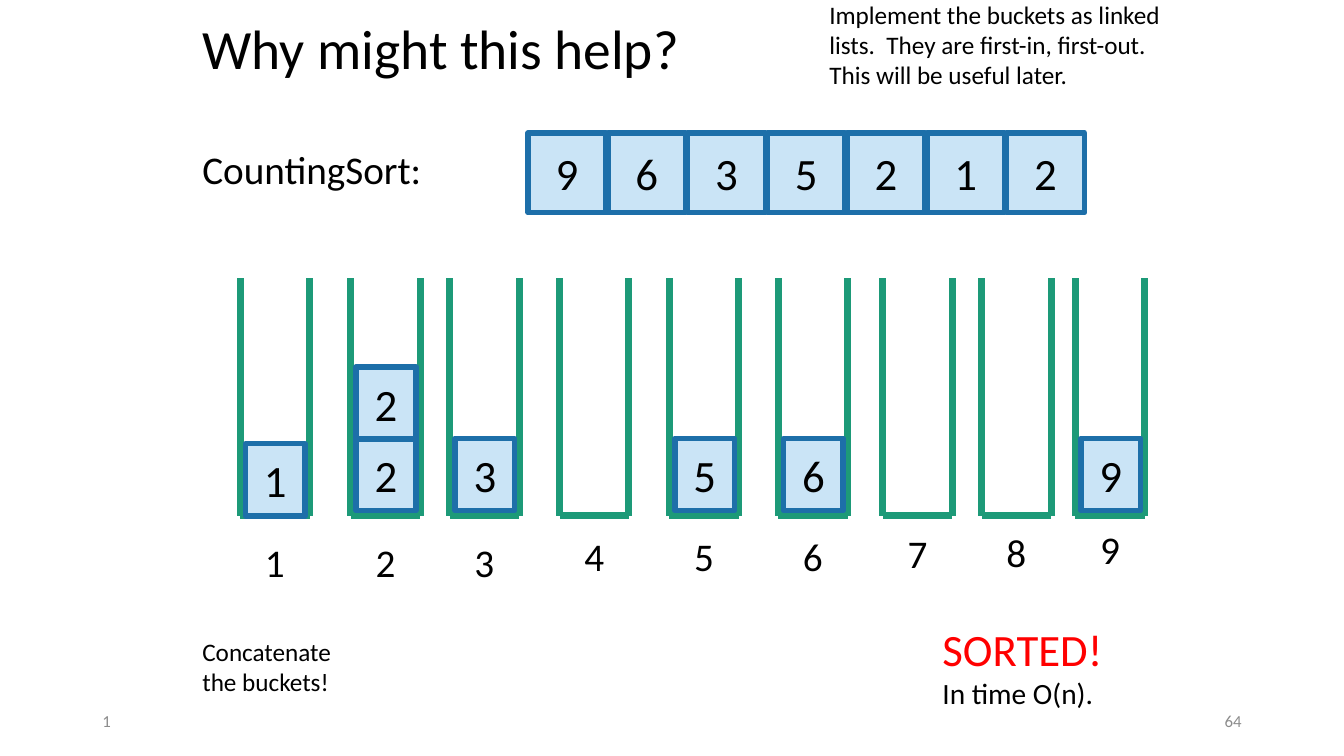
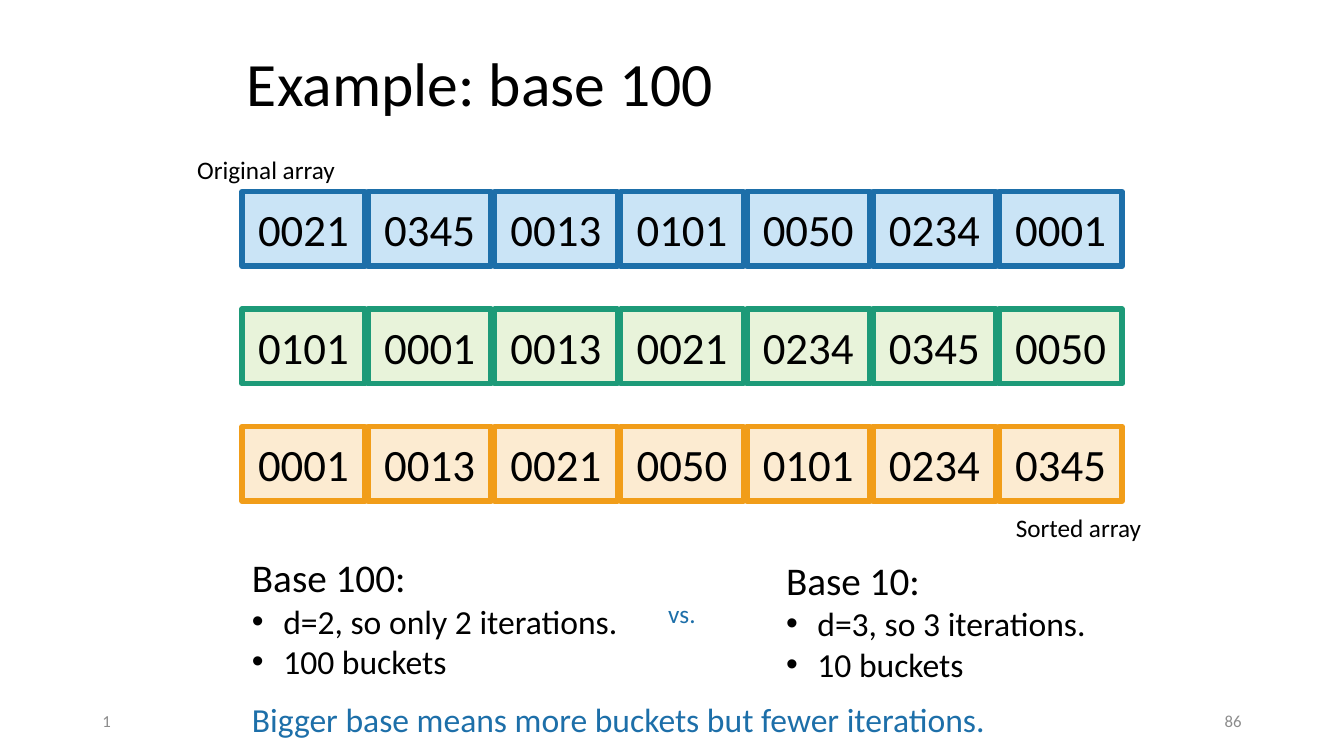
from dataclasses import dataclass

from lxml.etree import SubElement
from pptx import Presentation
from pptx.dml.color import RGBColor
from pptx.enum.shapes import MSO_CONNECTOR as Connector, MSO_SHAPE as Shape
from pptx.enum.text import MSO_ANCHOR as Anchor, MSO_AUTO_SIZE as AutoSize, PP_ALIGN as Align
from pptx.oxml.ns import qn
from pptx.slide import Slide
from pptx.text.text import TextFrame
from pptx.util import Cm, Pt

# Shared look
FONT = "Calibri"
BLACK = RGBColor(0x00, 0x00, 0x00)
RED = RGBColor(0xFF, 0x00, 0x00)
GRAY = RGBColor(0x8C, 0x8C, 0x8C)
BLUE = RGBColor(0x1D, 0x6F, 0xA9)
PALE_BLUE = RGBColor(0xCA, 0xE4, 0xF6)
GREEN = RGBColor(0x1D, 0x9A, 0x78)
PALE_GREEN = RGBColor(0xE8, 0xF3, 0xDA)
ORANGE = RGBColor(0xF1, 0x9D, 0x19)
PALE_ORANGE = RGBColor(0xFC, 0xEB, 0xD1)
TITLE_WIDTH = 21.9
TITLE_FORMAT = {"alignment": Align.LEFT, "line_spacing": 0.9}
BULLET_INDENT = Cm(0.79)

# Bucket geometry in centimetres
BUCKET_TOP, BUCKET_BOTTOM, BUCKET_WIDTH = 7.01, 13.0, 1.75
ITEM_INSET, ITEM_WIDTH, ITEM_HEIGHT, ITEM_STEP = 0.14, 1.5, 1.82, 1.8


@dataclass(frozen=True)
class Box:
    """Position and size in centimetres."""
    left: float
    top: float
    width: float
    height: float

    def lengths(self) -> tuple[Cm, Cm, Cm, Cm]:
        return Cm(self.left), Cm(self.top), Cm(self.width), Cm(self.height)


@dataclass(frozen=True)
class Line:
    """One paragraph of text."""
    text: str
    size: float
    color: RGBColor = BLACK
    bullet: bool = False


@dataclass(frozen=True)
class Palette:
    fill: RGBColor
    border: RGBColor


@dataclass(frozen=True)
class Bucket:
    left: float
    label_top: float
    items: int = 0
    item_top: float = 11.05


BLUE_CELL = Palette(PALE_BLUE, BLUE)
GREEN_CELL = Palette(PALE_GREEN, GREEN)
ORANGE_CELL = Palette(PALE_ORANGE, ORANGE)

BUCKETS = [
    Bucket(6.05, 13.44, 1, 11.18),
    Bucket(8.84, 13.44, 2),
    Bucket(11.33, 13.44, 1),
    Bucket(14.1, 13.28),
    Bucket(16.87, 13.28, 1),
    Bucket(19.61, 13.28, 1),
    Bucket(22.25, 13.21),
    Bucket(24.74, 13.18),
    Bucket(27.1, 13.11, 1),
]

ARRAYS = [
    ("0021 0345 0013 0101 0050 0234 0001", BLUE_CELL),
    ("0101 0001 0013 0021 0234 0345 0050", GREEN_CELL),
    ("0001 0013 0021 0050 0101 0234 0345", ORANGE_CELL),
]


def write_lines(frame: TextFrame, lines: list[Line], paragraph_format: dict) -> None:
    for index, line in enumerate(lines):
        paragraph = frame.add_paragraph() if index else frame.paragraphs[0]
        paragraph.text = line.text
        for name, value in paragraph_format.items():
            setattr(paragraph, name, value)
        if line.bullet:
            properties = paragraph._p.get_or_add_pPr()
            properties.set("marL", str(BULLET_INDENT))
            properties.set("indent", str(-BULLET_INDENT))
            SubElement(properties, qn("a:buFont"), typeface="Arial")
            SubElement(properties, qn("a:buChar"), char="•")
        for name, value in {"name": FONT, "size": Pt(line.size)}.items():
            setattr(paragraph.font, name, value)
        paragraph.font.color.rgb = line.color


def add_text(slide: Slide, box: Box, *lines: Line, align: Align = Align.LEFT,
             anchor: Anchor = Anchor.TOP, spacing: float = 1.0) -> None:
    frame = slide.shapes.add_textbox(*box.lengths()).text_frame
    frame.word_wrap = True
    frame.vertical_anchor = anchor
    write_lines(frame, list(lines), {"alignment": align, "line_spacing": spacing})


def add_cell(slide: Slide, box: Box, text: str, palette: Palette) -> None:
    cell = slide.shapes.add_shape(Shape.RECTANGLE, *box.lengths())
    cell.shadow.inherit = False
    cell.fill.solid()
    cell.fill.fore_color.rgb = palette.fill
    cell.line.color.rgb = palette.border
    cell.line.width = Pt(4)
    cell.text_frame.vertical_anchor = Anchor.MIDDLE
    write_lines(cell.text_frame, [Line(text, 32)], {"alignment": Align.CENTER})


def add_array(slide: Slide, first: Box, pitch: float, values: str, palette: Palette) -> None:
    for index, value in enumerate(values.split()):
        left = first.left + index * pitch
        add_cell(slide, Box(left, first.top, first.width, first.height), value, palette)


def add_line(slide: Slide, x1: float, y1: float, x2: float, y2: float) -> None:
    connector = slide.shapes.add_connector(Connector.STRAIGHT, Cm(x1), Cm(y1), Cm(x2), Cm(y2))
    connector.line.color.rgb = GREEN
    connector.line.width = Pt(5)
    SubElement(connector._element.spPr, qn("a:effectLst"))


def add_bucket(slide: Slide, bucket: Bucket, label: str) -> None:
    left, right = bucket.left, bucket.left + BUCKET_WIDTH
    add_line(slide, left, BUCKET_TOP, left, BUCKET_BOTTOM)
    add_line(slide, right, BUCKET_TOP, right, BUCKET_BOTTOM)
    add_line(slide, left, BUCKET_BOTTOM, right, BUCKET_BOTTOM)
    add_text(slide, Box(left, bucket.label_top, BUCKET_WIDTH, 1.45),
             Line(label, 28), align=Align.CENTER)
    for level in range(bucket.items):
        top = bucket.item_top - level * ITEM_STEP
        add_cell(slide, Box(left + ITEM_INSET, top, ITEM_WIDTH, ITEM_HEIGHT), label, BLUE_CELL)


def add_titled_slide(presentation, title: str, box: Box, size: float, number: str) -> Slide:
    slide = presentation.slides.add_slide(presentation.slide_layouts[5])
    placeholder = slide.shapes.title
    for name, value in zip(("left", "top", "width", "height"), box.lengths()):
        setattr(placeholder, name, value)
    frame = placeholder.text_frame
    frame.auto_size = AutoSize.NONE
    frame.vertical_anchor = Anchor.MIDDLE
    write_lines(frame, [Line(title, size)], TITLE_FORMAT)
    # Footer
    for left, text, align in ((2.33, "1", Align.LEFT), (23.92, number, Align.RIGHT)):
        add_text(slide, Box(left, 17.66, 7.62, 1.01), Line(text, 12, GRAY),
                 align=align, anchor=Anchor.MIDDLE)
    return slide


def build_counting_sort(presentation) -> None:
    slide = add_titled_slide(presentation, "Why might this help?",
                             Box(4.85, 0.36, TITLE_WIDTH, 1.9), 39.6, "64")
    add_text(slide, Box(4.85, 3.66, 6.83, 1.42), Line("CountingSort:", 28), spacing=0.9)
    add_array(slide, Box(13.31, 3.35, 1.96, 2.01), 2.01, "9 6 3 5 2 1 2", BLUE_CELL)
    for number, bucket in enumerate(BUCKETS, start=1):
        add_bucket(slide, bucket, str(number))
    # Remarks
    add_text(slide, Box(23.5, 15.54, 5.31, 2.51),
             Line("SORTED!", 32, RED), Line("In time O(n).", 21))
    add_text(slide, Box(20.65, -0.15, 9.12, 2.57),
             Line("Implement the buckets as linked lists.  They are first-in, first-out.   "
                  "This will be useful later.", 18))
    add_text(slide, Box(4.85, 15.9, 4.22, 1.8), Line("Concatenate the buckets!", 18))


def build_base_example(presentation) -> None:
    slide = add_titled_slide(presentation, "Example: base 100",
                             Box(5.97, 1.02, TITLE_WIDTH, 2.31), 44, "86")
    for row, (values, palette) in enumerate(ARRAYS):
        add_array(slide, Box(6.1, 4.83 + row * 2.96, 3.1, 1.88), 3.18, values, palette)
    add_text(slide, Box(4.72, 3.76, 5.64, 1.02), Line("Original array", 18))
    add_text(slide, Box(25.35, 12.78, 5.64, 1.02), Line("Sorted array", 18))
    # Comparison
    comparison = [
        (Box(6.1, 13.82, 11.63, 3.51), "Base 100:", "d=2, so only 2 iterations.", "100 buckets"),
        (Box(19.56, 13.89, 8.81, 3.51), "Base 10:", "d=3, so 3 iterations.", "10 buckets"),
    ]
    for box, heading, *points in comparison:
        add_text(slide, box, Line(heading, 28),
                 *(Line(point, 24, bullet=True) for point in points))
    add_text(slide, Box(16.59, 14.94, 1.68, 1.02), Line("vs.", 18, BLUE))
    add_text(slide, Box(6.1, 17.48, 22.1, 1.27),
             Line("Bigger base means more buckets but fewer iterations.", 24, BLUE))


def main() -> None:
    presentation = Presentation()
    presentation.slide_width = Cm(33.87)
    presentation.slide_height = Cm(19.05)
    build_counting_sort(presentation)
    build_base_example(presentation)
    presentation.save("out.pptx")


if __name__ == "__main__":
    main()
